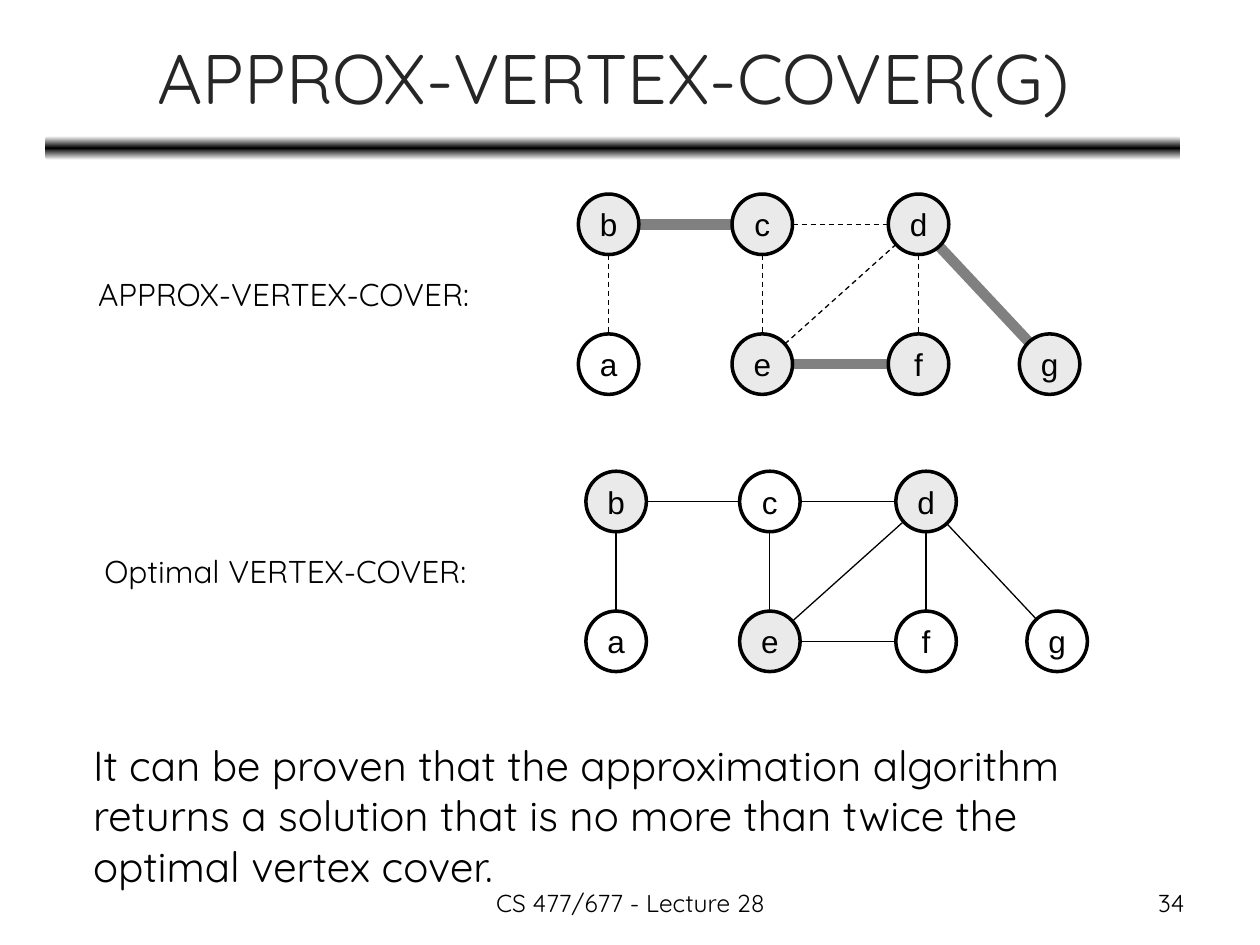
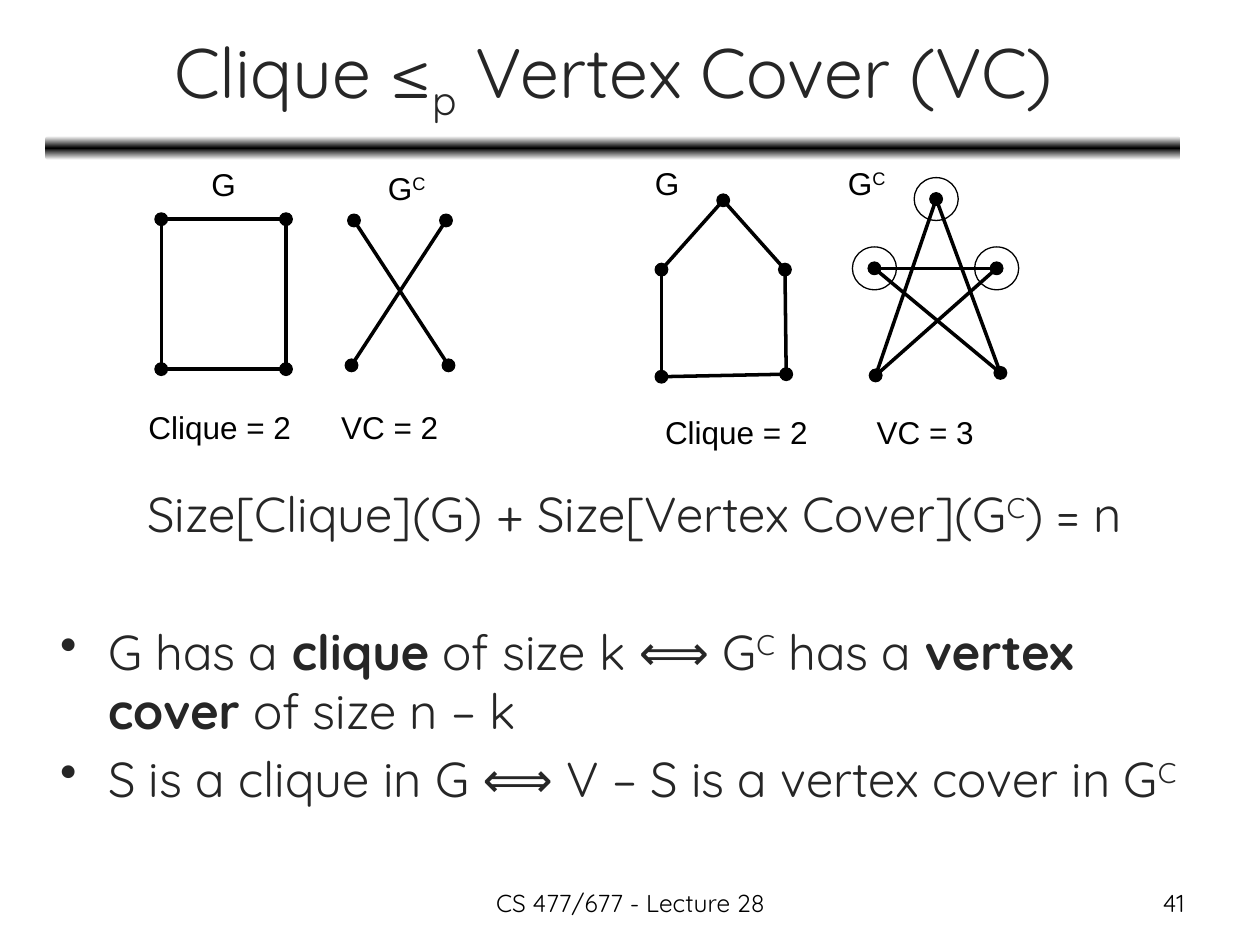
from copy import deepcopy
from dataclasses import dataclass
from math import hypot

from lxml import etree
from pptx import Presentation
from pptx.dml.color import RGBColor
from pptx.enum.dml import MSO_LINE
from pptx.enum.shapes import MSO_CONNECTOR, MSO_SHAPE
from pptx.enum.text import MSO_ANCHOR, PP_ALIGN
from pptx.oxml.ns import qn
from pptx.util import Inches, Pt

ELLIPSE, ROUNDED = MSO_SHAPE.OVAL, MSO_SHAPE.ROUNDED_RECTANGLE
STRAIGHT, DASH = MSO_CONNECTOR.STRAIGHT, MSO_LINE.DASH
LEFT, CENTER, RIGHT = PP_ALIGN.LEFT, PP_ALIGN.CENTER, PP_ALIGN.RIGHT
MIDDLE = MSO_ANCHOR.MIDDLE
TITLE_ONLY = 5


@dataclass(frozen=True)
class Theme:
    black: RGBColor = RGBColor(0x00, 0x00, 0x00)
    white: RGBColor = RGBColor(0xFF, 0xFF, 0xFF)
    ink: RGBColor = RGBColor(0x26, 0x26, 0x26)
    covered: RGBColor = RGBColor(0xEA, 0xEA, 0xEA)
    chosen_edge: RGBColor = RGBColor(0x80, 0x80, 0x80)
    text_font: str = "Quicksand"
    figure_font: str = "Arial"
    title: int = 40
    body: int = 28
    remark: int = 24
    label: int = 18
    footer: int = 14


THEME = Theme()
BASELINES = {"sub": "-25000", "sup": "30000"}

# Vertex centres, relative to the corner of the graph's box
VERTICES = {"b": (0.24, 0.24), "c": (1.46, 0.24), "d": (2.7, 0.24),
            "a": (0.24, 1.35), "e": (1.46, 1.35), "f": (2.7, 1.35),
            "g": (3.74, 1.35)}
EDGES = ("bc", "cd", "ba", "ce", "df", "ef", "ed", "dg")
RADIUS = 0.24

# Small figures: dots relative to the figure's corner, edges as dot indexes
CYCLE_4 = [(0, 1), (1, 2), (2, 3), (3, 0)]
CYCLE_5 = [(0, 1), (1, 2), (2, 3), (3, 4), (4, 0)]
SQUARE = [(0, 0), (0.99, 0), (0.99, 1.19), (0, 1.19)]
CROSS = [(0.02, 0), (0.75, 0), (0.77, 1.15), (0, 1.15)]
HOUSE = [(0.49, 0), (0.98, 0.55), (0.99, 1.38), (0, 1.4), (0, 0.55)]
STAR = [(0.49, 0), (0.97, 0.55), (1, 1.38), (0.01, 1.4), (0, 0.55)]


# ---- Basic parts ----
def fill_paragraph(paragraph, runs, size, font=THEME.text_font,
                   color=THEME.black, align=LEFT):
    """Runs are (text, style) pairs; style is "", "bold", "sub" or "sup"."""
    paragraph.alignment = align
    paragraph.font.size = Pt(size)
    paragraph.font.name = font
    paragraph.font.color.rgb = color
    for text, style in runs:
        run = paragraph.add_run()
        run.text = text
        if style == "bold":
            run.font.bold = True
        elif style:
            run._r.get_or_add_rPr().set("baseline", BASELINES[style])


def add_text(slide, box, runs, size, wrap=False, **style):
    frame = slide.shapes.add_textbox(*map(Inches, box)).text_frame
    frame.word_wrap = wrap
    fill_paragraph(frame.paragraphs[0], runs, size, **style)
    return frame


def add_circle(slide, center, width, height, fill, line_width):
    x, y = center
    circle = slide.shapes.add_shape(
        ELLIPSE, Inches(x - width / 2), Inches(y - height / 2),
        Inches(width), Inches(height))
    circle.shadow.inherit = False
    if fill is None:
        circle.fill.background()
    else:
        circle.fill.solid()
        circle.fill.fore_color.rgb = fill
    circle.line.color.rgb = THEME.black
    circle.line.width = Pt(line_width)
    return circle


def add_edge(slide, start, end, color, width, dashed=False):
    edge = slide.shapes.add_connector(STRAIGHT, *map(Inches, (*start, *end)))
    edge.line.color.rgb = color
    edge.line.width = Pt(width)
    if dashed:
        edge.line.dash_style = DASH
    etree.SubElement(edge._element.spPr, qn("a:effectLst"))


# ---- Shared frame: band, title, footer ----
def add_band(slide):
    band = slide.shapes.add_shape(
        ROUNDED, *map(Inches, (0.36, 1.08, 9.01, 0.19)))
    band.shadow.inherit = False
    band.line.fill.background()
    band.fill.gradient()
    band.fill.gradient_angle = 90
    stop_list = band._element.spPr.find(".//" + qn("a:gsLst"))
    stop_list.append(deepcopy(stop_list[0]))
    colors = (THEME.white, THEME.black, THEME.white)
    for i, (stop, color) in enumerate(zip(band.fill.gradient_stops, colors)):
        stop.position = i / 2
        stop.color.rgb = color


def add_framed_slide(deck, title_runs, number):
    slide = deck.slides.add_slide(deck.slide_layouts[TITLE_ONLY])
    add_band(slide)
    title = slide.shapes.title
    title.left, title.top, title.width, title.height = map(
        Inches, (0.37, 0.11, 9, 0.99))
    title.text_frame.word_wrap = True
    title.text_frame.vertical_anchor = MIDDLE
    fill_paragraph(title.text_frame.paragraphs[0], title_runs, THEME.title,
                   color=THEME.ink, align=CENTER)
    add_text(slide, (7.17, 7, 2.33, 0.35), [(number, "")], THEME.footer,
             wrap=True, align=RIGHT)
    add_text(slide, (3.42, 7, 3.17, 0.35), [("CS 477/677 - Lecture 28", "")],
             THEME.footer, wrap=True, align=CENTER)
    return slide


# ---- Vertex cover slide ----
def add_cover_graph(slide, left, top, cover, chosen=(), dashed=False):
    centers = {name: (left + x, top + y) for name, (x, y) in VERTICES.items()}

    # Edges run from rim to rim
    for edge in EDGES:
        (x1, y1), (x2, y2) = centers[edge[0]], centers[edge[1]]
        trim = RADIUS / hypot(x2 - x1, y2 - y1)
        dx, dy = (x2 - x1) * trim, (y2 - y1) * trim
        rims = (x1 + dx, y1 + dy), (x2 - dx, y2 - dy)
        if edge in chosen:
            add_edge(slide, *rims, THEME.chosen_edge, 6)
        else:
            add_edge(slide, *rims, THEME.black, 0.75, dashed)

    # Vertices, shaded when in the cover
    for name, center in centers.items():
        fill = THEME.covered if name in cover else THEME.white
        vertex = add_circle(slide, center, 2 * RADIUS, 2 * RADIUS, fill, 2)
        vertex.text_frame.word_wrap = False
        vertex.text_frame.vertical_anchor = MIDDLE
        fill_paragraph(vertex.text_frame.paragraphs[0], [(name, "")],
                       THEME.label, font=THEME.figure_font, align=CENTER)


def build_cover_slide(deck):
    slide = add_framed_slide(deck, [("APPROX-VERTEX-COVER(G)", "")], "34")
    add_text(slide, (0.68, 2.13, 3.2, 0.4), [("APPROX-VERTEX-COVER:", "")],
             THEME.label)
    add_cover_graph(slide, 4.59, 1.54, cover="bcdefg",
                    chosen=("bc", "ef", "dg"), dashed=True)
    add_text(slide, (0.73, 4.33, 3.17, 0.4), [("Optimal VERTEX-COVER:", "")],
             THEME.label)
    add_cover_graph(slide, 4.65, 3.74, cover="bde")
    remark = ("It can be proven that the approximation algorithm returns a "
              "solution that is no more than twice the optimal vertex cover.")
    add_text(slide, (0.64, 5.82, 8.59, 1.31), [(remark, "")], THEME.remark,
             wrap=True)


# ---- Clique slide ----
def add_dot_figure(slide, left, top, dots, edges, ringed=()):
    points = [(left + x, top + y) for x, y in dots]
    for start, end in edges:
        add_edge(slide, points[start], points[end], THEME.black, 2)
    for point in points:
        add_circle(slide, point, 0.1, 0.1, THEME.black, 0.75)
    for i in ringed:
        add_circle(slide, points[i], 0.35, 0.34, None, 0.75)


def add_reduction_text(slide, box):
    equation = [("Size[Clique](G) + Size[Vertex Cover](G", ""), ("C", "sup"),
                (") = n", "")]
    claims = [
        [("G has a ", ""), ("clique", "bold"), (" of size k ⟺ G", ""),
         ("C", "sup"), (" has a ", ""), ("vertex cover", "bold"),
         (" of size n – k", "")],
        [("S is a clique in G ⟺ V – S is a vertex cover in G", ""),
         ("C", "sup")],
    ]
    frame = add_text(slide, box, equation, THEME.body, wrap=True,
                     color=THEME.ink)
    frame.paragraphs[0]._p.get_or_add_pPr().set("marL", str(Inches(0.69)))
    for claim, gap in zip(claims, (45, 5.6)):
        paragraph = frame.add_paragraph()
        paragraph.space_before = Pt(gap)
        properties = paragraph._p.get_or_add_pPr()
        properties.set("marL", str(Inches(0.38)))
        properties.set("indent", str(Inches(-0.38)))
        etree.SubElement(properties, qn("a:buChar"), char="•")
        fill_paragraph(paragraph, claim, THEME.body, color=THEME.ink)


def build_clique_slide(deck):
    slide = add_framed_slide(
        deck, [("Clique ≤", ""), ("p", "sub"), (" Vertex Cover (VC)", "")],
        "41")

    # Graphs and their complements
    add_dot_figure(slide, 1.28, 1.74, SQUARE, CYCLE_4)
    add_dot_figure(slide, 2.79, 1.75, CROSS, [(0, 2), (1, 3)])
    add_dot_figure(slide, 5.25, 1.59, HOUSE, CYCLE_5)
    add_dot_figure(slide, 6.94, 1.58, STAR,
                   [(i, (i + 2) % 5) for i in range(5)], ringed=(0, 1, 4))

    # Names above and sizes below
    graph, complement = [("G", "")], [("G", ""), ("C", "sup")]
    for left, top, width, runs in (
            (1.58, 1.26, 0.4, graph), (2.98, 1.29, 0.52, complement),
            (5.1, 1.25, 0.4, graph), (6.63, 1.25, 0.52, complement),
            (1.08, 3.19, 1.33, [("Clique = 2", "")]),
            (2.61, 3.19, 0.97, [("VC = 2", "")]),
            (5.18, 3.23, 1.33, [("Clique = 2", "")]),
            (6.86, 3.23, 0.97, [("VC = 3", "")])):
        add_text(slide, (left, top, width, 0.4), runs, THEME.label,
                 font=THEME.figure_font)

    add_reduction_text(slide, (0.38, 3.79, 9.34, 3.35))


def main():
    deck = Presentation()
    deck.slide_width, deck.slide_height = Inches(10), Inches(7.5)
    build_cover_slide(deck)
    build_clique_slide(deck)
    deck.save("out.pptx")


if __name__ == "__main__":
    main()
